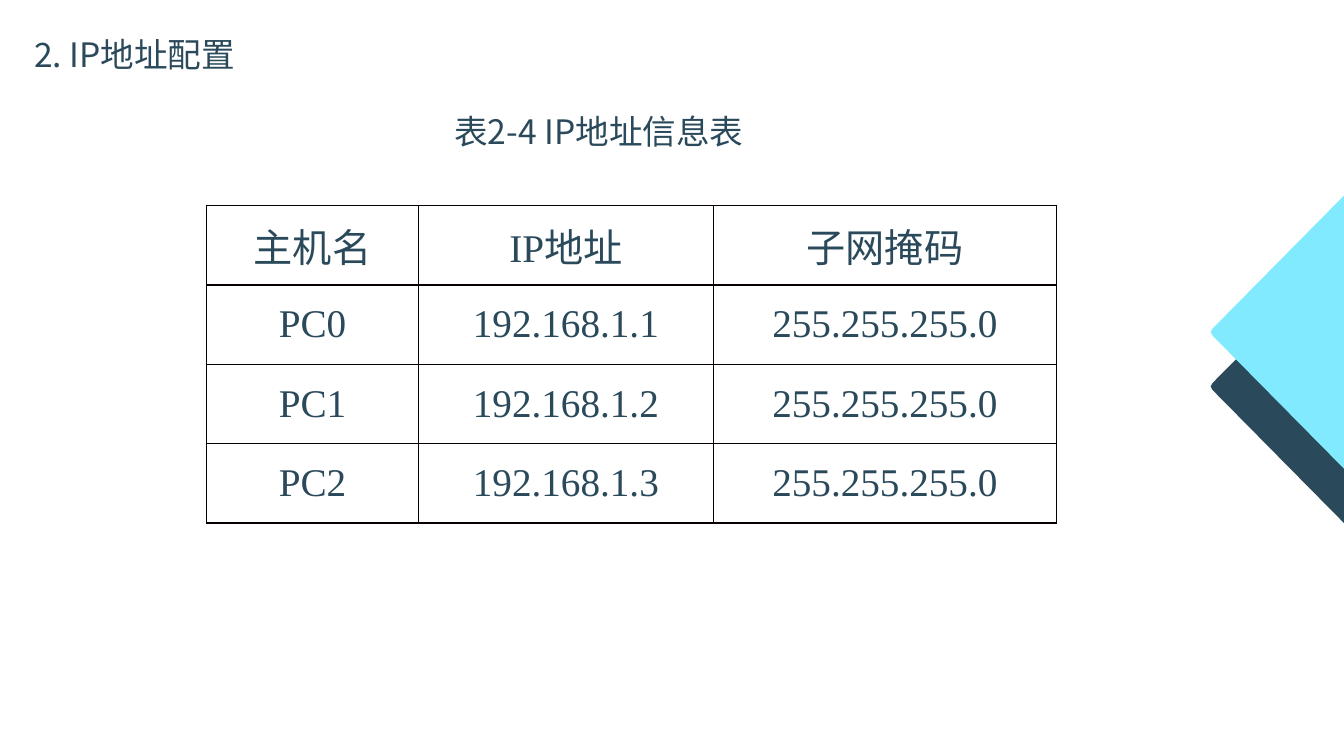
from lxml import etree
from pptx import Presentation
from pptx.dml.color import RGBColor
from pptx.enum import text as t
from pptx.oxml.ns import qn
from pptx.util import Cm, Pt

# Content
HEADING = "2. IP地址配置"
CAPTION = "表2-4 IP地址信息表"
HOSTS = [
    ("主机名", "IP地址", "子网掩码"),
    ("PC0", "192.168.1.1", "255.255.255.0"),
    ("PC1", "192.168.1.2", "255.255.255.0"),
    ("PC2", "192.168.1.3", "255.255.255.0"),
]

# Look and measures (cm)
NAVY, CYAN, BORDER = "2A495A", "81EAFF", "080000"
SANS, SERIF = "Noto Sans CJK SC", "Times New Roman"
WIDTH, HEIGHT = 33.87, 19.05
COLUMNS, ROW = (5.33, 7.44, 8.64), 2.0
CORNERS = [(9.74, NAVY), (8.37, CYAN)]  # middle height, colour
HALF_HEIGHT, TIP = 3.44, 30.5


def rgb(value):
    return RGBColor.from_string(value)


def write(frame, words, size=24, font=SANS, color=NAVY, align=t.PP_ALIGN.LEFT):
    paragraph = frame.paragraphs[0]
    paragraph.alignment = align
    run = paragraph.add_run()
    run.text = words
    run.font.size, run.font.name = Pt(size), font
    run.font.color.rgb = rgb(color)
    east_asian = etree.SubElement(run.font._element, qn("a:ea"))
    east_asian.set("typeface", SANS)


def set_margins(holder, margin):
    holder.margin_left = holder.margin_right = margin
    holder.margin_top = holder.margin_bottom = margin


def add_borders(cell):
    properties = cell._tc.get_or_add_tcPr()
    for position, side in enumerate(("lnL", "lnR", "lnT", "lnB")):
        line = etree.Element(qn("a:" + side), w=str(Pt(1)))
        fill = etree.SubElement(line, qn("a:solidFill"))
        etree.SubElement(fill, qn("a:srgbClr"), val=BORDER)
        properties.insert(position, line)


def add_corner(slide, middle, color):
    outline = [
        (WIDTH, middle + HALF_HEIGHT),
        (TIP + 0.06, middle + 0.09),
        (TIP + 0.01, middle),
        (TIP + 0.06, middle - 0.09),
        (WIDTH, middle - HALF_HEIGHT),
    ]
    points = [(Cm(x), Cm(y)) for x, y in outline]
    builder = slide.shapes.build_freeform(*points[0])
    builder.add_line_segments(points[1:], close=True)
    corner = builder.convert_to_shape()
    corner.shadow.inherit = False
    corner.fill.solid()
    corner.fill.fore_color.rgb = rgb(color)
    corner.line.fill.background()


def main():
    deck = Presentation()
    deck.slide_width, deck.slide_height = Cm(WIDTH), Cm(HEIGHT)
    slide = deck.slides.add_slide(deck.slide_layouts[5])

    # Corner decoration
    for middle, color in CORNERS:
        add_corner(slide, middle, color)

    # Heading
    heading = slide.shapes.title
    heading.left, heading.top = Cm(0.86), Cm(0.86)
    heading.width, heading.height = Cm(18.11), Cm(1.09)
    set_margins(heading.text_frame, 0)
    heading.text_frame.vertical_anchor = t.MSO_ANCHOR.TOP
    heading.text_frame.auto_size = t.MSO_AUTO_SIZE.NONE
    write(heading.text_frame, HEADING)

    # Table caption
    caption = slide.shapes.add_textbox(Cm(11.2), Cm(2.67), Cm(18.85), Cm(1.35))
    caption.text_frame.word_wrap = True
    write(caption.text_frame, CAPTION)

    # Address table
    addresses = slide.shapes.add_table(
        len(HOSTS), len(COLUMNS), Cm(5.21), Cm(5.18),
        Cm(sum(COLUMNS)), Cm(ROW * len(HOSTS))).table
    addresses.first_row = addresses.horz_banding = False
    for column, width in zip(addresses.columns, COLUMNS):
        column.width = Cm(width)
    for row, host in zip(addresses.rows, HOSTS):
        row.height = Cm(ROW)
        for cell, words in zip(row.cells, host):
            set_margins(cell, 0)
            cell.vertical_anchor = t.MSO_ANCHOR.MIDDLE
            cell.fill.background()
            add_borders(cell)
            write(cell.text_frame, words, size=28, font=SERIF,
                  align=t.PP_ALIGN.CENTER)

    deck.save("out.pptx")


if __name__ == "__main__":
    main()
